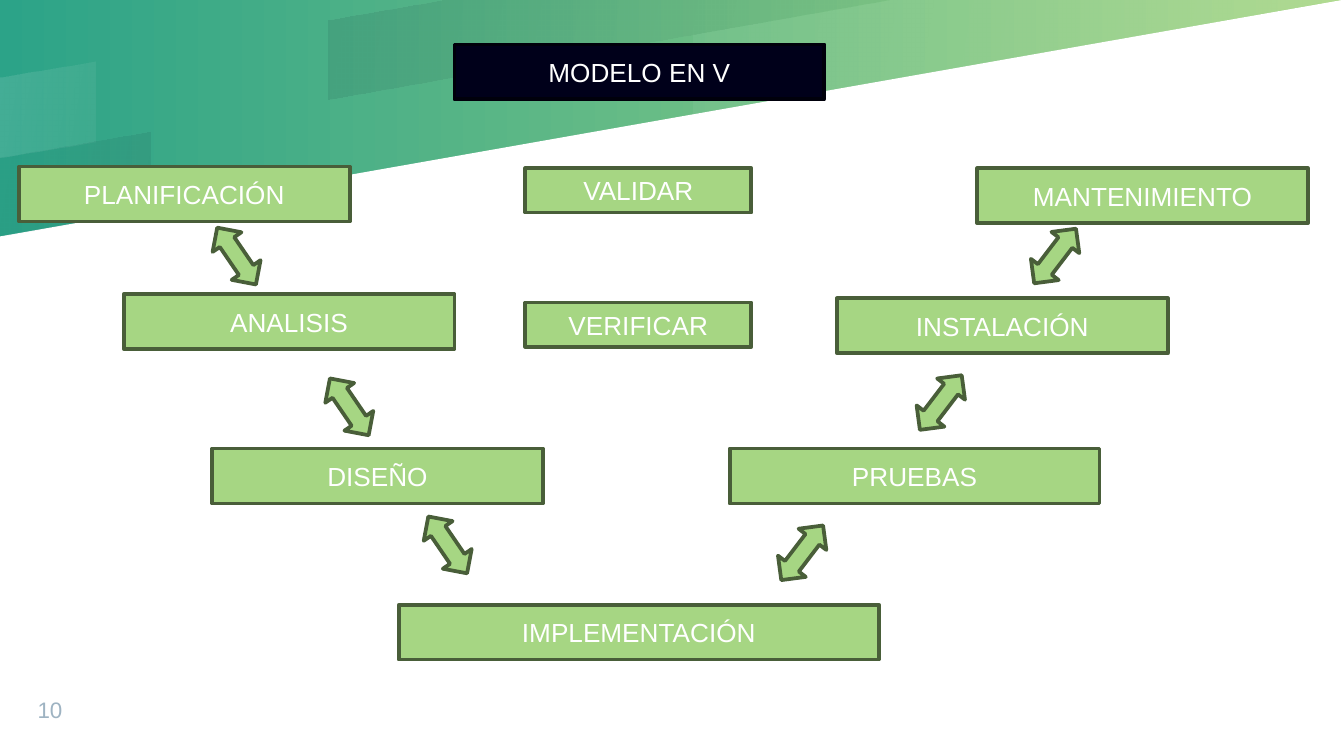
import dataclasses

import lxml.etree
import pptx
import pptx.dml.color
import pptx.enum.shapes
import pptx.enum.text
import pptx.oxml.ns
import pptx.util
from pptx.util import Cm


@dataclasses.dataclass(frozen=True)
class Theme:
    """Colours, font and sizes of the deck."""
    teal: str = "2CA388"
    green: str = "A6D683"
    moss: str = "495E39"
    navy: str = "00001A"
    black: str = "00000B"
    white: str = "FFFFFF"
    grey: str = "9EB3C2"
    font: str = "Arial"
    label_size: int = 14
    number_size: int = 12
    line_width: int = 2


THEME = Theme()
WIDTH, HEIGHT = 25.4, 14.29
STEP_WIDTH, STEP_HEIGHT = 6.25, 1.04
WIDE_STEP = 6.99
CHECK_LEFT, CHECK_WIDTH, CHECK_HEIGHT = 9.93, 4.27, 0.84
ARROW_WIDTH, ARROW_HEIGHT = 0.66, 1.3
DOWN_ANGLE, UP_ANGLE = 145.7, 37.4

STEPS = [
    ("PLANIFICACIÓN", 0.36, 3.15, STEP_WIDTH),
    ("ANALISIS", 2.34, 5.56, STEP_WIDTH),
    ("DISEÑO", 4.01, 8.48, STEP_WIDTH),
    ("IMPLEMENTACIÓN", 7.54, 11.43, 9.07),
    ("PRUEBAS", 13.79, 8.48, WIDE_STEP),
    ("INSTALACIÓN", 15.82, 5.64, STEP_WIDTH),
    ("MANTENIMIENTO", 18.47, 3.18, STEP_WIDTH),
]
CHECKS = [("VALIDAR", 3.18), ("VERIFICAR", 5.72)]
ARROWS = {
    DOWN_ANGLE: [(4.14, 4.19), (6.27, 7.04), (8.13, 9.65)],
    UP_ANGLE: [(14.83, 9.8), (17.45, 6.96), (19.61, 4.19)],
}
BANDS = [
    ([(0, 2.97), (0, 4.47), (2.84, 3.96), (2.84, 2.49)], THEME.navy, (2, 8)),
    ([(16.89, 0), (13.11, 0.66), (13.11, 2.16), (25.37, 0)], THEME.white, (5, 12)),
    ([(0, 1.47), (0, 2.97), (1.8, 2.67), (1.8, 1.17)], THEME.white, (12, 5)),
    ([(8.43, 0), (6.2, 0.38), (6.2, 1.88), (16.89, 0)], THEME.navy, (8, 2)),
]


def rgb(value):
    """Return the colour object for a hex value."""
    return pptx.dml.color.RGBColor.from_string(value)


def write_text(shape, text, size=THEME.label_size, color=THEME.white,
               align=pptx.enum.text.PP_ALIGN.CENTER,
               anchor=pptx.enum.text.MSO_ANCHOR.MIDDLE):
    """Write one formatted line into a shape."""
    frame = shape.text_frame
    frame.word_wrap = True
    frame.vertical_anchor = anchor
    para = frame.paragraphs[0]
    para.alignment = align
    span = para.add_run()
    span.text = text
    span.font.name = THEME.font
    span.font.size = pptx.util.Pt(size)
    span.font.color.rgb = rgb(color)


def fill_gradient(fill, colors, angle):
    """Fill with a two-colour linear gradient."""
    fill.gradient()
    fill.gradient_angle = angle
    for stop, color in zip(fill.gradient_stops, colors):
        stop.color.rgb = rgb(color)


def add_outlined(page, kind, left, top, width, height,
                 fill=THEME.green, line=THEME.moss):
    """Add a flat preset shape with an outline."""
    shape = page.shapes.add_shape(kind, Cm(left), Cm(top), Cm(width), Cm(height))
    shape.shadow.inherit = False
    shape.fill.solid()
    shape.fill.fore_color.rgb = rgb(fill)
    shape.line.color.rgb = rgb(line)
    shape.line.width = pptx.util.Pt(THEME.line_width)
    return shape


def add_box(page, text, left, top, width, height=STEP_HEIGHT, **colors):
    """Add a labelled rectangle."""
    kind = pptx.enum.shapes.MSO_SHAPE.RECTANGLE
    box = add_outlined(page, kind, left, top, width, height, **colors)
    write_text(box, text)


def add_arrow(page, left, top, angle):
    """Add a tilted double arrow."""
    kind = pptx.enum.shapes.MSO_SHAPE.UP_DOWN_ARROW
    arrow = add_outlined(page, kind, left, top, ARROW_WIDTH, ARROW_HEIGHT)
    arrow.rotation = angle


def add_polygon(page, points):
    """Add a closed outline without line or shadow."""
    corners = [(Cm(x), Cm(y)) for x, y in points]
    builder = page.shapes.build_freeform(*corners[0])
    builder.add_line_segments(corners[1:], close=True)
    polygon = builder.convert_to_shape()
    polygon.shadow.inherit = False
    polygon.line.fill.background()
    return polygon


def add_band(page, points, color, opacities):
    """Add a translucent band that fades between two opacities."""
    band = add_polygon(page, points)
    fill_gradient(band.fill, (color, color), 350)
    qn = pptx.oxml.ns.qn
    for node, opacity in zip(band.element.iter(qn("a:srgbClr")), opacities):
        lxml.etree.SubElement(node, qn("a:alpha")).set("val", str(opacity * 1000))


def add_backdrop(page):
    """Draw the gradient background, its white area and its bands."""
    fill_gradient(page.background.fill, (THEME.teal, THEME.green), 0)
    area = add_polygon(page, [(0, HEIGHT), (WIDTH, HEIGHT), (WIDTH, 0),
                              (25.37, 0), (0, 4.47)])
    area.fill.solid()
    area.fill.fore_color.rgb = rgb(THEME.white)
    for band in BANDS:
        add_band(page, *band)


def add_page_number(page, text):
    """Add the page number at the lower left."""
    box = page.shapes.add_textbox(Cm(0.71), Cm(12.98), Cm(1.35), Cm(0.69))
    frame = box.text_frame
    frame.margin_left = frame.margin_right = 0
    frame.margin_top = frame.margin_bottom = 0
    write_text(box, text, size=THEME.number_size, color=THEME.grey,
               align=pptx.enum.text.PP_ALIGN.LEFT,
               anchor=pptx.enum.text.MSO_ANCHOR.BOTTOM)


def main():
    """Build the V-model slide."""
    deck = pptx.Presentation()
    deck.slide_width, deck.slide_height = Cm(WIDTH), Cm(HEIGHT)
    page = deck.slides.add_slide(deck.slide_layouts[6])
    add_backdrop(page)
    add_page_number(page, "10")
    for step in STEPS:
        add_box(page, *step)
    for angle, places in ARROWS.items():
        for left, top in places:
            add_arrow(page, left, top, angle)
    add_box(page, "MODELO EN V", 8.59, 0.84, WIDE_STEP,
            fill=THEME.navy, line=THEME.black)
    for text, top in CHECKS:
        add_box(page, text, CHECK_LEFT, top, CHECK_WIDTH, CHECK_HEIGHT)
    deck.save("out.pptx")


if __name__ == "__main__":
    main()
